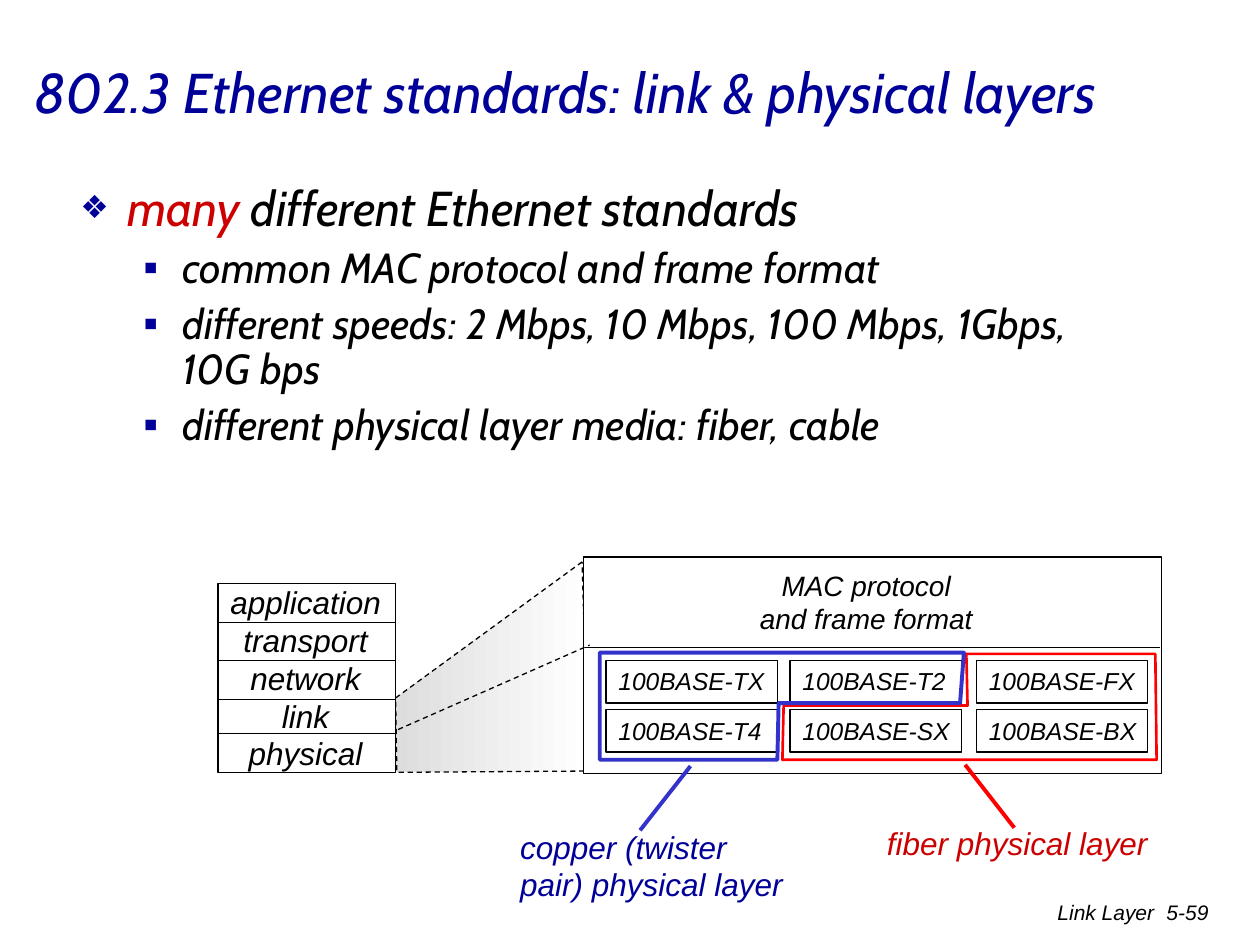
from lxml import etree
from pptx import Presentation
from pptx.dml.color import RGBColor
from pptx.enum.dml import MSO_LINE
from pptx.enum.shapes import MSO_CONNECTOR as CONN, MSO_SHAPE as SHAPE
from pptx.enum.text import MSO_ANCHOR as ANCHOR, MSO_AUTO_SIZE as AUTO, PP_ALIGN as ALIGN
from pptx.oxml.ns import qn
from pptx.util import Inches, Pt

BLACK = RGBColor(0x00, 0x00, 0x00)
WHITE = RGBColor(0xFF, 0xFF, 0xFF)
GREY = RGBColor(0xDD, 0xDD, 0xDD)
NAVY = RGBColor(0x00, 0x00, 0x99)
CRIMSON = RGBColor(0xCC, 0x00, 0x00)
RED = RGBColor(0xFF, 0x00, 0x00)
BLUE = RGBColor(0x33, 0x33, 0xCC)


class SlideBuilder:
    """Draws styled elements on the current slide."""

    head_font = "Cabin"
    body_font = "Arial"
    thin = 0.75

    def __init__(self, slide):
        self.s = slide

    def run(self, p, text, size, color=BLACK, font=None):
        r = p.add_run()
        r.text = text
        r.font.name = font or self.body_font
        r.font.size = Pt(size)
        r.font.italic = True
        r.font.color.rgb = color

    def fill_lines(self, tf, lines, size, color=BLACK, align=ALIGN.LEFT):
        tf.word_wrap = True
        tf.auto_size = AUTO.NONE
        tf.vertical_anchor = ANCHOR.TOP
        tf.margin_left = Inches(0.1 if align == ALIGN.LEFT else 0)
        tf.margin_right = Inches(0.1 if align == ALIGN.RIGHT else 0)
        for i, text in enumerate(lines):
            p = tf.add_paragraph() if i else tf.paragraphs[0]
            p.alignment = align
            self.run(p, text, size, color)

    def title(self, text, box):
        sp = self.s.shapes.title
        sp.left, sp.top, sp.width, sp.height = map(Inches, box)
        tf = sp.text_frame
        tf.auto_size = AUTO.NONE
        tf.vertical_anchor = ANCHOR.MIDDLE
        p = tf.paragraphs[0]
        p.alignment = ALIGN.LEFT
        self.run(p, text, 32, NAVY, self.head_font)

    def text(self, lines, box, size, color=BLACK, align=ALIGN.LEFT):
        sp = self.s.shapes.add_textbox(*map(Inches, box))
        self.fill_lines(sp.text_frame, lines, size, color, align)

    def bullets(self, items, box):
        tf = self.s.shapes.add_textbox(*map(Inches, box)).text_frame
        tf.word_wrap = True
        for i, (level, runs) in enumerate(items):
            p = tf.add_paragraph() if i else tf.paragraphs[0]
            p.level = level
            p.line_spacing = 0.9
            char, size, before, left, hang, scale = [
                ("❖", 28, 7, 0.37, 0.37, 65), ("▪", 24, 6, 0.81, 0.31, 100)][level]
            p.space_before = Pt(before)
            pPr = p._p.get_or_add_pPr()
            pPr.set("marL", str(Inches(left)))
            pPr.set("indent", str(-Inches(hang)))
            clr = etree.SubElement(pPr, qn("a:buClr"))
            etree.SubElement(clr, qn("a:srgbClr"), val=str(NAVY))
            etree.SubElement(pPr, qn("a:buSzPct"), val=str(scale * 1000))
            etree.SubElement(pPr, qn("a:buFont"), typeface=self.body_font)
            etree.SubElement(pPr, qn("a:buChar"), char=char)
            for text, color in runs:
                self.run(p, text, size, color, self.head_font)

    def rect(self, box, filled=True, label=None):
        sp = self.s.shapes.add_shape(SHAPE.RECTANGLE, *map(Inches, box))
        sp.shadow.inherit = False
        if filled:
            sp.fill.solid()
            sp.fill.fore_color.rgb = WHITE
        else:
            sp.fill.background()
        sp.line.color.rgb = BLACK
        sp.line.width = Pt(self.thin)
        if label:
            self.fill_lines(sp.text_frame, [label], 14)

    def line(self, x1, y1, x2, y2, color=BLACK, width=thin):
        c = self.s.shapes.add_connector(CONN.STRAIGHT, *map(Inches, (x1, y1, x2, y2)))
        c.line.color.rgb = color
        c.line.width = Pt(width)
        etree.SubElement(c._element.spPr, qn("a:effectLst"))

    def outline(self, points, color=BLACK, width=thin, closed=True, dashed=False, shaded=False):
        pts = [(Inches(x), Inches(y)) for x, y in points]
        fb = self.s.shapes.build_freeform(*pts[0])
        fb.add_line_segments(pts[1:], close=closed)
        sp = fb.convert_to_shape()
        sp.shadow.inherit = False
        if shaded:
            sp.fill.gradient()
            sp.fill.gradient_angle = 180
            for stop, shade in zip(sp.fill.gradient_stops, (WHITE, GREY)):
                stop.color.rgb = shade
        else:
            sp.fill.background()
        sp.line.color.rgb = color
        sp.line.width = Pt(width)
        if dashed:
            sp.line.dash_style = MSO_LINE.DASH


def main():
    prs = Presentation()
    prs.slide_width, prs.slide_height = Inches(10), Inches(7.5)
    b = SlideBuilder(prs.slides.add_slide(prs.slide_layouts[5]))

    b.text(["Link Layer"], (6.09, 7.09, 3.17, 0.5), 12, align=ALIGN.RIGHT)
    b.text(["5-59"], (8.95, 7.09, 0.74, 0.5), 12, align=ALIGN.RIGHT)
    b.title("802.3 Ethernet standards: link & physical layers", (0.17, 0.1, 9.53, 1.25))
    b.bullets([
        (0, [("many ", CRIMSON), ("different Ethernet standards", BLACK)]),
        (1, [("common MAC protocol and frame format", BLACK)]),
        (1, [("different speeds: 2 Mbps, 10 Mbps, 100 Mbps, 1Gbps, 10G bps", BLACK)]),
        (1, [("different physical layer media: fiber, cable", BLACK)]),
    ], (0.54, 1.41, 8.5, 2.3))

    b.outline([(4.62, 4.46), (3.14, 5.54), (3.15, 6.13), (4.67, 6.12)],
              dashed=True, shaded=True)
    b.rect((1.73, 4.63, 1.41, 1.5))
    b.text(["application", "transport", "network", "link", "physical"],
           (1.73, 4.58, 1.39, 1.6), 18, align=ALIGN.CENTER)
    for y in (4.94, 5.24, 5.55, 5.82):
        b.line(1.73, y, 3.14, y)
    for x in (1.73, 3.14):
        b.line(x, 5.9, x, 6.09)

    b.rect((4.63, 4.42, 4.59, 1.72))
    b.line(4.64, 5.14, 9.21, 5.14)
    b.text(["MAC protocol", "and frame format"], (5.93, 4.46, 1.89, 0.64), 16,
           align=ALIGN.CENTER)
    b.outline([(3.16, 5.79), (4.68, 5.12)], closed=False, dashed=True)
    rows = [(5.24, ("TX", "T2", "FX")), (5.63, ("T4", "SX", "BX"))]
    for y, media in rows:
        for x, medium in zip((4.81, 6.27, 7.75), media):
            b.rect((x, y, 1.36, 0.34), filled=False, label=f"100BASE-{medium}")

    b.outline([(7.67, 5.19), (7.68, 5.6), (6.22, 5.6), (6.21, 6.03), (9.18, 6.03),
               (9.17, 5.19)], RED, 1.5)
    b.line(7.66, 6.07, 8.05, 6.57, RED, 2.25)
    b.text(["fiber physical layer"], (6.94, 6.49, 2.27, 0.4), 18, CRIMSON)
    b.outline([(7.65, 5.18), (7.62, 5.58), (6.18, 5.58), (6.17, 6.03), (4.76, 6.03),
               (4.76, 5.18)], BLUE, 2.25)
    b.line(5.48, 6.08, 5.08, 6.59, BLUE, 2.25)
    b.text(["copper (twister", "pair) physical layer"], (4.03, 6.52, 2.28, 0.7), 18, NAVY)

    prs.save("out.pptx")


if __name__ == "__main__":
    main()
